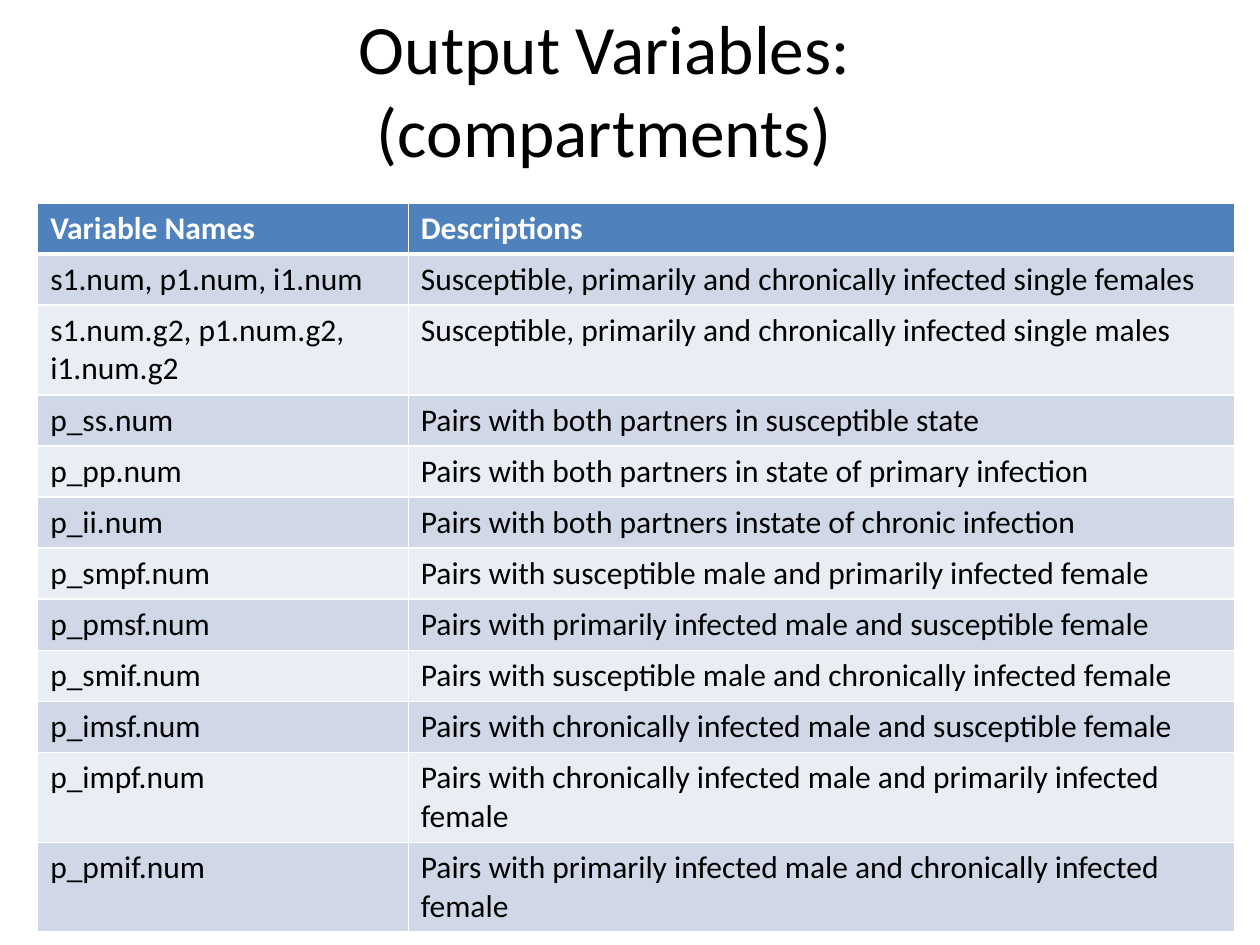
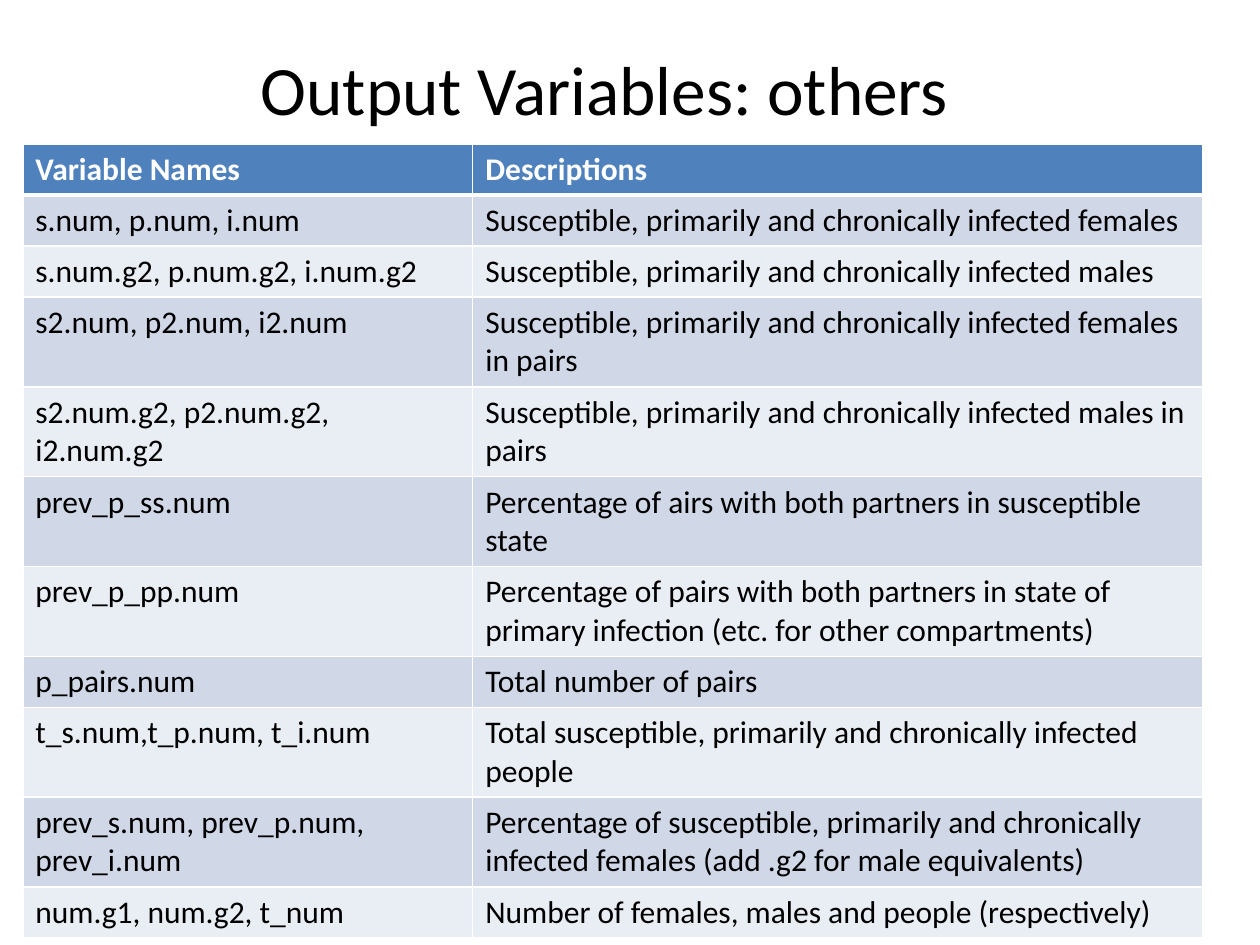
from lxml import etree
from pptx import Presentation
from pptx import util as u
from pptx.dml import color
from pptx.enum import text
from pptx.oxml import ns

# Shared style
FONT = "Calibri"
BLACK, WHITE, HEAD = "000000", "FFFFFF", "4F81BD"
BANDS = ("D0D8E8", "E9EDF4")
SHORT, TALL = 1.03, 1.81  # heights of one-line and two-line rows


def rgb(code):
    return color.RGBColor.from_string(code)


def write(frame, words, size=18, tint=BLACK, bold=False,
          align=text.PP_ALIGN.LEFT):
    frame.text = words
    frame.word_wrap = True
    for para in frame.paragraphs:
        para.alignment = align
        for run in para.runs:
            font = run.font
            font.name, font.size, font.bold = FONT, u.Pt(size), bold
            font.color.rgb = rgb(tint)


def edge(cell, side, width):
    props = cell._tc.get_or_add_tcPr()
    line = etree.SubElement(props, ns.qn("a:ln" + side), w=str(u.Pt(width)))
    fill = etree.SubElement(line, ns.qn("a:solidFill"))
    etree.SubElement(fill, ns.qn("a:srgbClr"), val=WHITE)


class Deck:
    def __init__(self):
        self.prs = Presentation()
        self.prs.slide_width, self.prs.slide_height = u.Cm(25.4), u.Cm(19.05)
        self.slide = None

    def page(self):
        self.slide = self.prs.slides.add_slide(self.prs.slide_layouts[6])

    def title(self, words):
        box = self.slide.shapes.add_textbox(
            u.Cm(0.76), u.Cm(0.76), u.Cm(22.86), u.Cm(2.03))
        write(box.text_frame, words, size=39.6, align=text.PP_ALIGN.CENTER)
        box.text_frame.vertical_anchor = text.MSO_ANCHOR.MIDDLE

    def table(self, left, top, widths, rows, tall):
        rows = [("Variable Names", "Descriptions")] + rows
        highs = [TALL if i in tall else SHORT for i in range(len(rows))]
        grid = self.slide.shapes.add_table(
            len(rows), len(widths), u.Cm(left), u.Cm(top),
            u.Cm(sum(widths)), u.Cm(sum(highs))).table
        for col, width in zip(grid.columns, widths):
            col.width = u.Cm(width)
        for i, (row, high) in enumerate(zip(rows, highs)):
            grid.rows[i].height = u.Cm(high)
            for j, words in enumerate(row):
                self.cell(grid.cell(i, j), words, i)

    def cell(self, cell, words, i):
        top = i == 0
        write(cell.text_frame, words, tint=WHITE if top else BLACK, bold=top)
        for side in "LRTB":
            thick = (top and side == "B") or (i == 1 and side == "T")
            edge(cell, side, 3 if thick else 1)
        cell.fill.solid()
        cell.fill.fore_color.rgb = rgb(HEAD if top else BANDS[(i - 1) % 2])


deck = Deck()

# Compartments
deck.page()
deck.title("Output Variables:\v(compartments)")
deck.table(0.76, 4.09, (7.47, 16.66), [
    ("s1.num, p1.num, i1.num",
     "Susceptible, primarily and chronically infected single females"),
    ("s1.num.g2, p1.num.g2, i1.num.g2",
     "Susceptible, primarily and chronically infected single males"),
    ("p_ss.num", "Pairs with both partners in susceptible state"),
    ("p_pp.num", "Pairs with both partners in state of primary infection"),
    ("p_ii.num", "Pairs with both partners instate of chronic infection"),
    ("p_smpf.num", "Pairs with susceptible male and primarily infected female"),
    ("p_pmsf.num", "Pairs with primarily infected male and susceptible female"),
    ("p_smif.num",
     "Pairs with susceptible male and chronically infected female"),
    ("p_imsf.num",
     "Pairs with chronically infected male and susceptible female"),
    ("p_impf.num",
     "Pairs with chronically infected male and primarily infected female"),
    ("p_pmif.num",
     "Pairs with primarily infected male and chronically infected female"),
], tall={2, 10, 11})

# Other variables
deck.page()
deck.title("Output Variables: others")
deck.table(0.46, 2.9, (9.07, 14.71), [
    ("s.num, p.num, i.num",
     "Susceptible, primarily and chronically infected females"),
    ("s.num.g2, p.num.g2, i.num.g2",
     "Susceptible, primarily and chronically infected males"),
    ("s2.num, p2.num, i2.num",
     "Susceptible, primarily and chronically infected females in pairs"),
    ("s2.num.g2, p2.num.g2, i2.num.g2",
     "Susceptible, primarily and chronically infected males in pairs"),
    ("prev_p_ss.num",
     "Percentage of airs with both partners in susceptible state"),
    ("prev_p_pp.num",
     "Percentage of pairs with both partners in state of primary infection "
     "(etc. for other compartments)"),
    ("p_pairs.num", "Total number of pairs"),
    ("t_s.num,t_p.num, t_i.num",
     "Total susceptible, primarily and chronically infected people"),
    ("prev_s.num, prev_p.num, prev_i.num",
     "Percentage of susceptible, primarily and chronically infected females "
     "(add .g2 for male equivalents)"),
    ("num.g1, num.g2, t_num",
     "Number of females, males and people (respectively)"),
], tall={3, 4, 5, 6, 8, 9})

deck.prs.save("out.pptx")
